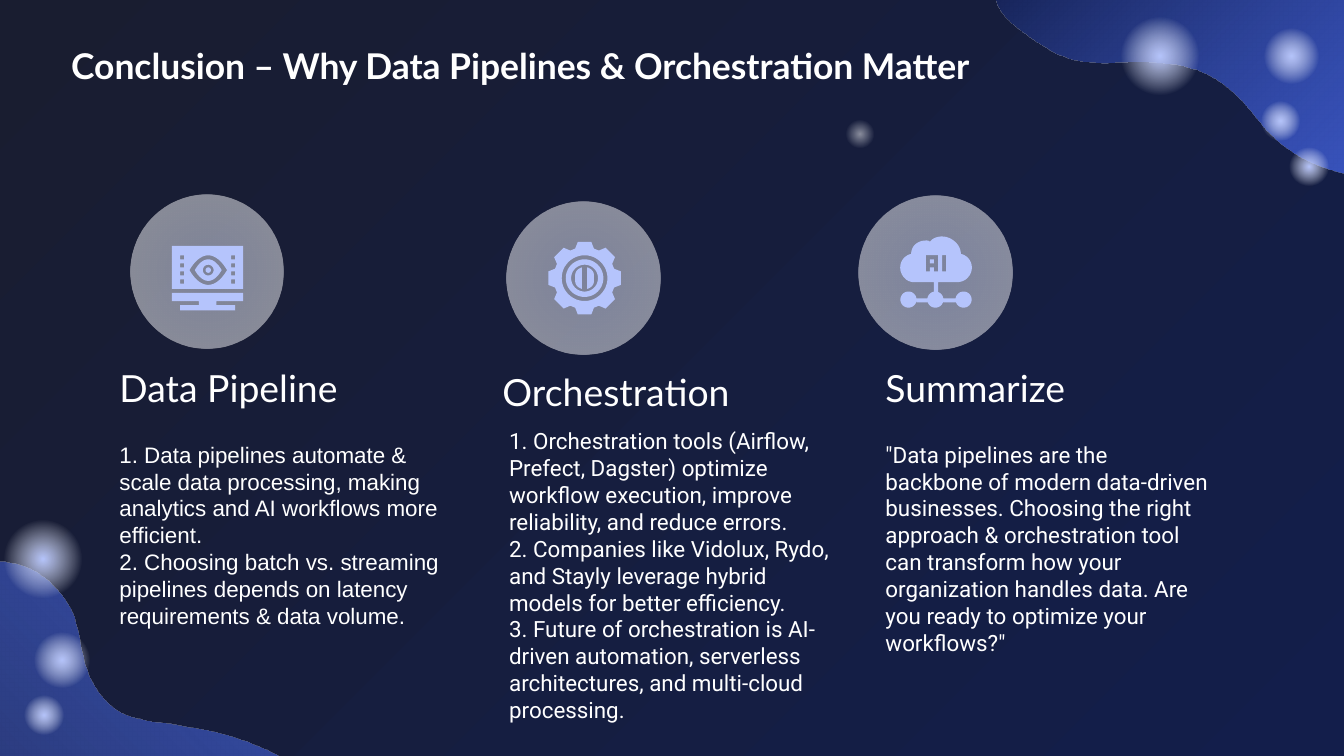
from math import cos, pi, radians, sin

from pptx import Presentation
from pptx.dml.color import RGBColor as RGB
from pptx.enum.shapes import MSO_SHAPE as SHAPE
from pptx.enum.text import MSO_ANCHOR as ANCHOR, MSO_AUTO_SIZE as FIT, PP_ALIGN as ALIGN
from pptx.oxml import parse_xml
from pptx.oxml.ns import nsdecls, qn
from pptx.util import Inches, Pt

WHITE = RGB(0xFF, 0xFF, 0xFF)
NIGHT = RGB(0x19, 0x1D, 0x30)
NAVY = RGB(0x13, 0x1E, 0x4B)
BLUE = RGB(0x4B, 0x6E, 0xF8)
LILAC = RGB(0xB5, 0xC4, 0xFC)
MIST = RGB(0xE7, 0xEC, 0xFF)

# Gradient stops: position, colour, opacity
GLOW = [(0, LILAC, 100), (57, WHITE, 0), (100, WHITE, 0)]
SPARK = [(0, WHITE, 50), (57, WHITE, 0), (100, WHITE, 0)]
DISC = [(0, MIST, 49), (77, WHITE, 49), (100, WHITE, 49)]

# Centre x, centre y, diameter
ORBS = [(8.63, 0.42, 0.72), (9.74, 1.24, 0.36), (9.53, 0.9, 0.36), (9.61, 0.42, 0.51),
        (0.46, 4.91, 0.51), (0.32, 4.16, 0.72), (0.33, 5.32, 0.36)]

COLUMNS = [
    dict(head="Data Pipeline", at=(0.79, 2.71), body_at=(0.79, 3.18), disc=(1.54, 2.02),
         font="Arial", body=[
             "1. Data pipelines automate & scale data processing, making analytics and AI "
             "workflows more efficient.",
             "2. Choosing batch vs. streaming pipelines depends on latency requirements & "
             "data volume."]),
    dict(head="Orchestration", at=(3.64, 2.74), body_at=(3.69, 3.08), disc=(4.34, 2.07),
         font="Roboto", body=[
             "1. Orchestration tools (Airflow, Prefect, Dagster) optimize workflow execution, "
             "improve reliability, and reduce errors.",
             "2. Companies like Vidolux, Rydo, and Stayly leverage hybrid models for better "
             "efficiency.",
             "3. Future of orchestration is AI-driven automation, serverless architectures, "
             "and multi-cloud processing."]),
    dict(head="Summarize", at=(6.49, 2.71), body_at=(6.49, 3.18), disc=(6.96, 2.03),
         font="Roboto", body=[
             '"Data pipelines are the backbone of modern data-driven businesses. Choosing the '
             "right approach & orchestration tool can transform how your organization handles "
             'data. Are you ready to optimize your workflows?"']),
]


def write(shape, lines, font, size, bold=False, anchor=ANCHOR.TOP, pitch=None):
    frame = shape.text_frame
    frame.word_wrap, frame.auto_size = True, FIT.NONE
    frame.vertical_anchor = anchor
    frame.margin_left = frame.margin_right = Inches(0.1)
    frame.margin_top = frame.margin_bottom = Inches(0.1)
    for i, line in enumerate(lines):
        para = frame.add_paragraph() if i else frame.paragraphs[0]
        para.alignment, para.line_spacing = ALIGN.LEFT, pitch
        run = para.add_run()
        run.text = line
        face = run.font
        face.name, face.size, face.bold = font, Pt(size), bold
        face.color.rgb = WHITE


def add_text(slide, at, height, lines, **style):
    box = slide.shapes.add_textbox(*map(Inches, (*at, 2.6, height)))
    write(box, lines, **style)


def paint(shape, fill, angle=None):
    """Fill with a colour or with stops, which are radial unless an angle is given."""
    shape.shadow.inherit = False
    shape.line.fill.background()
    shape.fill.solid()
    if isinstance(fill, RGB):
        shape.fill.fore_color.rgb = fill
        return
    stops = "".join(
        f'<a:gs pos="{pos * 1000}"><a:srgbClr val="{color}">'
        f'<a:alpha val="{alpha * 1000}"/></a:srgbClr></a:gs>' for pos, color, alpha in fill)
    if angle is None:
        way = ('<a:path path="circle">'
               '<a:fillToRect l="50000" t="50000" r="50000" b="50000"/></a:path>')
    else:
        way = f'<a:lin ang="{angle * 60000}" scaled="0"/>'
    grad = parse_xml(f'<a:gradFill {nsdecls("a")} rotWithShape="1">'
                     f'<a:gsLst>{stops}</a:gsLst>{way}</a:gradFill>')
    props = shape.element.spPr
    props.replace(props.find(qn("a:solidFill")), grad)


def add_orb(slide, x, y, size, fill):
    box = map(Inches, (x - size / 2, y - size / 2, size, size))
    paint(slide.shapes.add_shape(SHAPE.OVAL, *box), fill)


def trace(start, *moves):
    """Points of an outline; a move is a line (x, y) or a cubic curve of six numbers."""
    points = [start]
    for move in moves:
        if len(move) == 2:
            points.append(move)
            continue
        a, b, c, d = points[-1], move[:2], move[2:4], move[4:]
        for t in (i / 12 for i in range(1, 13)):
            u = 1 - t
            points.append(tuple(u**3 * p + 3 * u * u * t * q + 3 * u * t * t * r + t**3 * s
                                for p, q, r, s in zip(a, b, c, d)))
    return points


def ring(x, y, r):
    return [(x + r * cos(i * pi / 24), y + r * sin(i * pi / 24)) for i in range(48)]


def rect(x, y, right, low):
    return [(x, y), (right, y), (right, low), (x, low)]


def lens(x, y, w, h):
    half = trace((-w, 0), (-0.75 * w, -0.55 * h, -0.4 * w, -h, 0, -h),
                 (0.4 * w, -h, 0.75 * w, -0.55 * h, w, 0))
    return [(x + k * px, y + k * py) for k in (1, -1) for px, py in half]


def add_outline(slide, loops, fill, angle=None):
    """Draw closed loops as one shape; a loop inside another cuts a hole."""
    loops = [[(Inches(x), Inches(y)) for x, y in loop] for loop in loops]
    pen = slide.shapes.build_freeform(*loops[0][0])
    for i, loop in enumerate(loops):
        if i:
            pen.move_to(*loop[0])
        pen.add_line_segments(loop[1:], close=True)
    paint(pen.convert_to_shape(), fill, angle)


def add_waves(slide):
    low = trace((-3.75, 2.84), (-0.59, 4.36), (-0.38, 4.2, -0.01, 4.1, 0.24, 4.24),
                (0.37, 4.31, 0.47, 4.43, 0.53, 4.55), (0.59, 4.69, 0.59, 4.84, 0.64, 4.98),
                (0.68, 5.1, 0.79, 5.26, 0.92, 5.31), (1.07, 5.37, 1.23, 5.37, 1.38, 5.4),
                (2, 5.48, 2.6, 5.85, 2.85, 6.4), (2.91, 6.66), (-3.75, 6.66))
    top = trace((10.18, -0.51), (7.87, -0.19), (7.76, -0.17, 7.46, -0.17, 7.42, -0.04),
                (7.37, 0.11, 7.73, 0.32, 7.83, 0.38), (8.02, 0.48, 8.19, 0.47, 8.39, 0.46),
                (8.61, 0.46, 8.81, 0.46, 9, 0.56), (9.17, 0.65, 9.29, 0.8, 9.4, 0.94),
                (9.53, 1.09, 9.69, 1.19, 9.87, 1.25), (10.03, 1.3, 10.25, 1.36, 10.42, 1.34))
    add_outline(slide, [low], [(0, NIGHT, 100), (100, BLUE, 70)], 315)
    add_outline(slide, [top], [(0, BLUE, 70), (100, NAVY, 100)], 225)


def monitor():
    eye = (1.55, 2.01)
    holes = [rect(x, 1.9 + i * 0.06, x + 0.03, 1.93 + i * 0.06)
             for x in (1.34, 1.72) for i in range(4)]
    stand = [(1.28, 2.18), (1.28, 2.24), (1.48, 2.24), (1.48, 2.27), (1.34, 2.27), (1.34, 2.31),
             (1.75, 2.31), (1.75, 2.27), (1.61, 2.27), (1.61, 2.24), (1.81, 2.24), (1.81, 2.18)]
    return [rect(1.28, 1.83, 1.81, 2.15), *holes, lens(*eye, 0.14, 0.11),
            lens(*eye, 0.1, 0.08), ring(*eye, 0.04), ring(*eye, 0.02), stand]


def gear():
    x, y = 4.35, 2.07
    tooth = [(-0.07, -0.22), (-0.05, -0.27), (0.05, -0.27), (0.07, -0.22)]
    teeth = [(x + px * cos(a) - py * sin(a), y + px * sin(a) + py * cos(a))
             for a in map(radians, range(0, 360, 45)) for px, py in tooth]
    slot = trace((0.02, -0.08), (0.05, -0.07, 0.07, -0.05, 0.07, -0.02), (0.07, 0.02),
                 (0.07, 0.05, 0.05, 0.07, 0.02, 0.08))
    slots = [[(x + k * px, y + py) for px, py in slot] for k in (-1, 1)]
    return [teeth, *(ring(x, y, r) for r in (0.17, 0.14, 0.1)), *slots]


def cloud():
    puff = trace((7.12, 2.1), (7.18, 2.1, 7.22, 2.06, 7.23, 2.01),
                 (7.24, 1.95, 7.2, 1.9, 7.15, 1.89), (7.15, 1.82, 7.08, 1.76, 7.01, 1.76),
                 (6.98, 1.76, 6.94, 1.77, 6.92, 1.8), (6.91, 1.79, 6.9, 1.79, 6.89, 1.79),
                 (6.83, 1.79, 6.78, 1.83, 6.78, 1.89), (6.73, 1.9, 6.69, 1.95, 6.7, 2.01),
                 (6.71, 2.06, 6.75, 2.1, 6.8, 2.1))
    letter = [(6.92, 1.99), (6.92, 2.02), (6.89, 2.02), (6.89, 1.9), (6.98, 1.9),
              (6.98, 2.02), (6.95, 2.02), (6.95, 1.99)]
    links = [rect(6.95, 2.1, 6.98, 2.17), rect(6.82, 2.22, 6.9, 2.25),
             rect(7.02, 2.22, 7.11, 2.25)]
    nodes = [ring(x, 2.23, 0.06) for x in (6.76, 6.96, 7.17)]
    return [puff, letter, rect(6.92, 1.93, 6.95, 1.96), rect(7.01, 1.9, 7.04, 2.02),
            *links, *nodes]


def add_column(slide, col, icon):
    add_text(slide, col["body_at"], 1.59, col["body"], font=col["font"], size=12, pitch=Pt(14.4))
    add_text(slide, col["at"], 0.44, [col["head"]], font="Lato", size=20, anchor=ANCHOR.BOTTOM)
    add_orb(slide, *col["disc"], 1.14, DISC)
    add_outline(slide, icon, LILAC)


def main():
    deck = Presentation()
    deck.slide_width = Inches(10)
    deck.slide_height = deck.slide_width * 9 // 16
    slide = deck.slides.add_slide(deck.slide_layouts[5])
    back = slide.background.fill
    back.gradient()
    back.gradient_angle = 315
    for stop, color in zip(back.gradient_stops, (NIGHT, NAVY)):
        stop.color.rgb = color

    add_waves(slide)
    for orb in ORBS:
        add_orb(slide, *orb, GLOW)
    title = slide.shapes.title
    title.left, title.top, title.width, title.height = map(Inches, (0.43, 0.23, 9.15, 0.63))
    write(title, ["Conclusion – Why Data Pipelines & Orchestration Matter"],
          font="Lato", size=19, bold=True)
    for col, icon in zip(COLUMNS, (monitor(), gear(), cloud())):
        add_column(slide, col, icon)
    add_orb(slide, 6.4, 1, 0.26, SPARK)
    deck.save("out.pptx")


if __name__ == "__main__":
    main()
